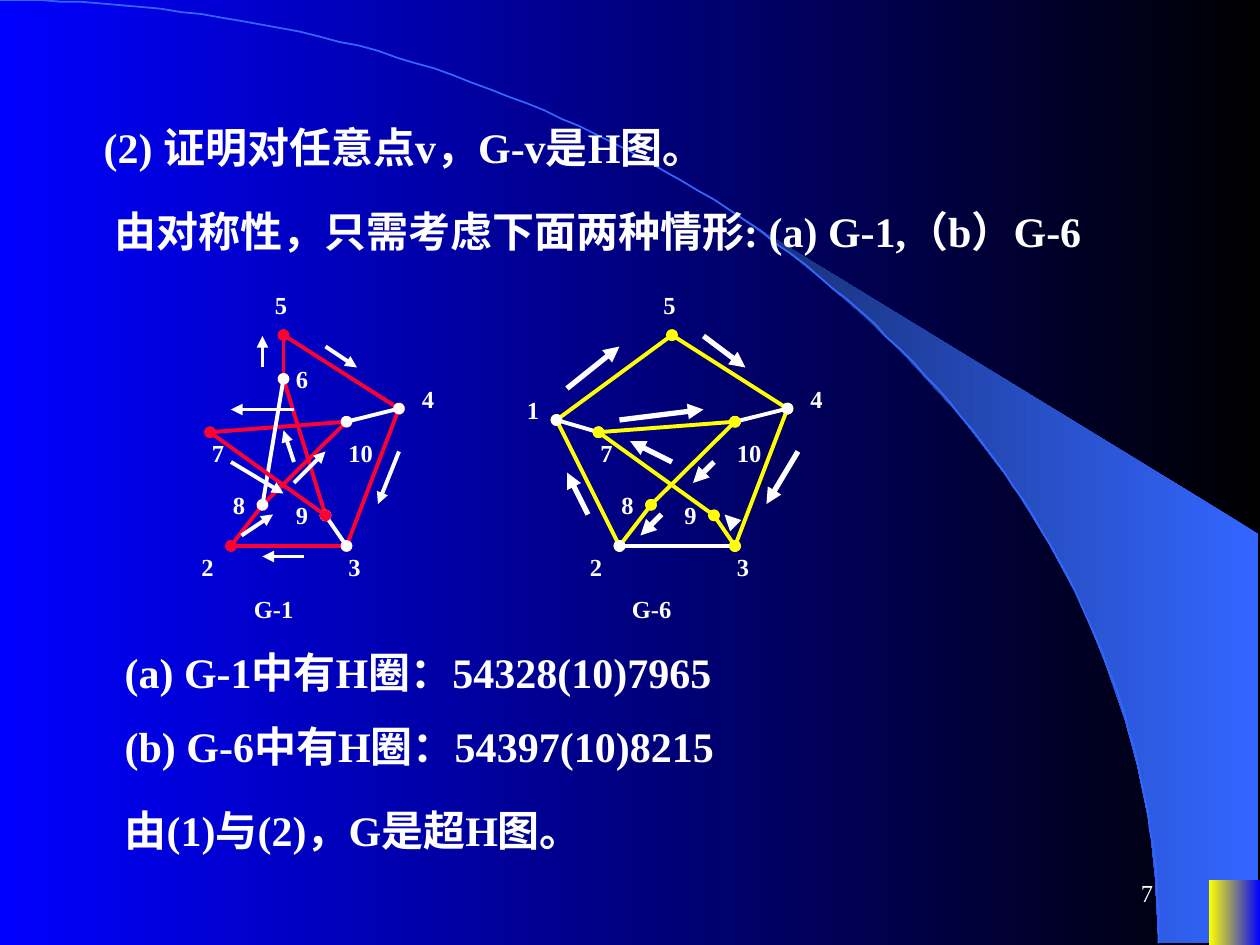
from math import cos, pi, sin

from pptx import Presentation
from pptx.dml.color import RGBColor
from pptx.enum.shapes import MSO_CONNECTOR, MSO_SHAPE
from pptx.enum.text import MSO_ANCHOR, PP_ALIGN
from pptx.oxml.ns import qn
from pptx.util import Pt

LINE = MSO_CONNECTOR.STRAIGHT
RECT = MSO_SHAPE.RECTANGLE
TOP, MID = MSO_ANCHOR.TOP, MSO_ANCHOR.MIDDLE
LEFT, RIGHT = PP_ALIGN.LEFT, PP_ALIGN.RIGHT
FONT = "Times New Roman"
HUES = {"white": "FFFFFF", "red": "FF0033", "yellow": "FFFF00", "blue": "0000FF",
        "black": "000000", "sky": "3366FF", "navy": "172F75"}
RGB = {name: RGBColor.from_string(code) for name, code in HUES.items()}


def write(host, text, x, y, w, h, size=14, bold=True, align=LEFT, anchor=TOP, inset=7.2):
    box = host.shapes.add_textbox(Pt(x), Pt(y), Pt(w), Pt(h))
    frame = box.text_frame
    frame.word_wrap = True
    frame.margin_left = Pt(inset)
    frame.vertical_anchor = anchor
    para = frame.paragraphs[0]
    para.text = text
    para.alignment = align
    para.font.size = Pt(size)
    para.font.bold = bold
    para.font.name = FONT
    para.font.color.rgb = RGB["white"]


def link(host, start, end, hue, width, **tips):
    line = host.shapes.add_connector(LINE, *(Pt(v) for v in (*start, *end)))
    line.line.color.rgb = RGB[hue]
    line.line.width = Pt(width)
    props = line._element.spPr
    stroke = props.find(qn("a:ln"))
    for side, kind in tips.items():
        tip = stroke.makeelement(qn(f"a:{side}End"), {"type": kind})
        stroke.append(tip)
    props.append(props.makeelement(qn("a:effectLst"), {}))


deck = Presentation()
deck.slide_width, deck.slide_height = Pt(720), Pt(540)
slide = deck.slides.add_slide(deck.slide_layouts[6])

rim = [(662.4, 538.6), (719.3, 539.3), (719.3, 304.6), (424.1, 124.6), (449.3, 143.3),
       (470.2, 159.8), (493.2, 180), (515.5, 201.6), (548.6, 237.6), (578.2, 276.5),
       (599, 310.3), (617.8, 344.9), (632.2, 380.2), (643, 411.8), (650.2, 438.5),
       (657.4, 472.3), (660.2, 501.1)]
pen = slide.shapes.build_freeform(*rim[0], scale=Pt(1))
pen.add_line_segments(rim[1:], close=True)
beam = pen.convert_to_shape()

steps = 90
turns = [pi / 2 * i / steps for i in range(steps + 1)]
curve = [(662.4 * sin(t), 539.3 * (1 - cos(t))) for t in turns]
pen = slide.shapes.build_freeform(*curve[0], scale=Pt(1))
pen.add_line_segments(curve[1:], close=False)
arc = pen.convert_to_shape()
arc.fill.background()
arc.line.color.rgb = RGB["sky"]
arc.line.width = Pt(1)
arc.shadow.inherit = False

badge = slide.shapes.add_shape(RECT, Pt(691), Pt(502.8), Pt(29), Pt(37.2))
for shape in (beam, badge):
    shape.line.fill.background()
    shape.shadow.inherit = False

for fill, hues in [(slide.background.fill, ("black", "blue")),
                   (beam.fill, ("sky", "navy")),
                   (badge.fill, ("blue", "yellow"))]:
    fill.gradient()
    fill.gradient_angle = 180
    for stop, hue in zip(fill.gradient_stops, hues):
        stop.color.rgb = RGB[hue]

for text, x, y in [
    ("(2) 证明对任意点v，G-v是H图。", 24, 66),
    ("由对称性，只需考虑下面两种情形: (a) G-1,（b）G-6", 30, 114),
    ("(a) G-1中有H圈：54328(10)7965", 36, 366),
    ("(b) G-6中有H圈：54397(10)8215", 36, 408),
    ("由(1)与(2)，G是超H图。", 36, 456),
]:
    write(slide, text, x, y, 636, 41, size=24, inset=35.2)

nodes = {1: (96, 240), 2: (132, 312), 3: (198, 312), 4: (228, 233.5), 5: (162, 191.5),
         6: (162, 216.5), 7: (120, 247), 8: (150, 288.5), 9: (186, 294.5), 10: (198, 241)}
tags = {1: (72, 222), 2: (108, 312), 3: (192, 312), 4: (234, 216), 5: (150, 162),
        6: (162, 204.5), 7: (114, 246.5), 8: (126, 276.5), 9: (162, 282), 10: (192, 246.5)}

graphs = [
    {"name": "G-1", "gone": 1, "shift": 0, "left": 138, "width": 2.25,
     "edges": [("red", [(6, 9), (10, 8), (8, 2), (7, 10), (5, 4), (4, 3), (2, 3), (5, 6)]),
               ("white", [(10, 4), (9, 3), (6, 8)]),
               ("red", [(7, 9)])],
     "arrows": [(186, 198, 204, 210), (228, 258, 216, 288), (174, 318, 150, 318),
                (138, 306, 156, 294), (168, 276, 186, 258), (168, 234, 132, 234),
                (132, 264, 162, 282), (168, 264, 162, 246), (150, 210, 150, 192)]},
    {"name": "G-6", "gone": 6, "shift": 222, "left": 354, "width": 3,
     "edges": [("yellow", [(8, 2), (7, 10), (5, 1), (5, 4), (1, 2), (4, 3)]),
               ("white", [(2, 3), (1, 7), (10, 4)]),
               ("yellow", [(9, 3), (7, 9), (10, 8)])],
     "arrows": [(402, 192, 426, 210), (456, 258, 438, 288), (420, 300, 414, 294),
                (384, 264, 360, 252), (354, 240, 402, 234), (408, 264, 396, 276),
                (378, 294, 366, 306), (336, 294, 324, 270), (324, 222, 354, 198)]},
]
for graph in graphs:
    group = slide.shapes.add_group_shape()
    shift = graph["shift"]
    spots = {n: (x + shift, y) for n, (x, y) in nodes.items()}
    for hue, pairs in graph["edges"]:
        for a, b in pairs:
            link(group, spots[a], spots[b], hue, 2.25, head="oval", tail="oval")
    for n, (x, y) in tags.items():
        if n != graph["gone"]:
            write(group, str(n), x + shift, y, 36 if n == 10 else 25, 24.5)
    write(group, graph["name"], graph["left"], 336, 90, 24.5)
    for arrow in graph["arrows"]:
        link(group, arrow[:2], arrow[2:], "white", graph["width"], tail="triangle")

write(slide, "7", 516, 492, 150, 36, bold=False, align=RIGHT, anchor=MID)

deck.save("out.pptx")
